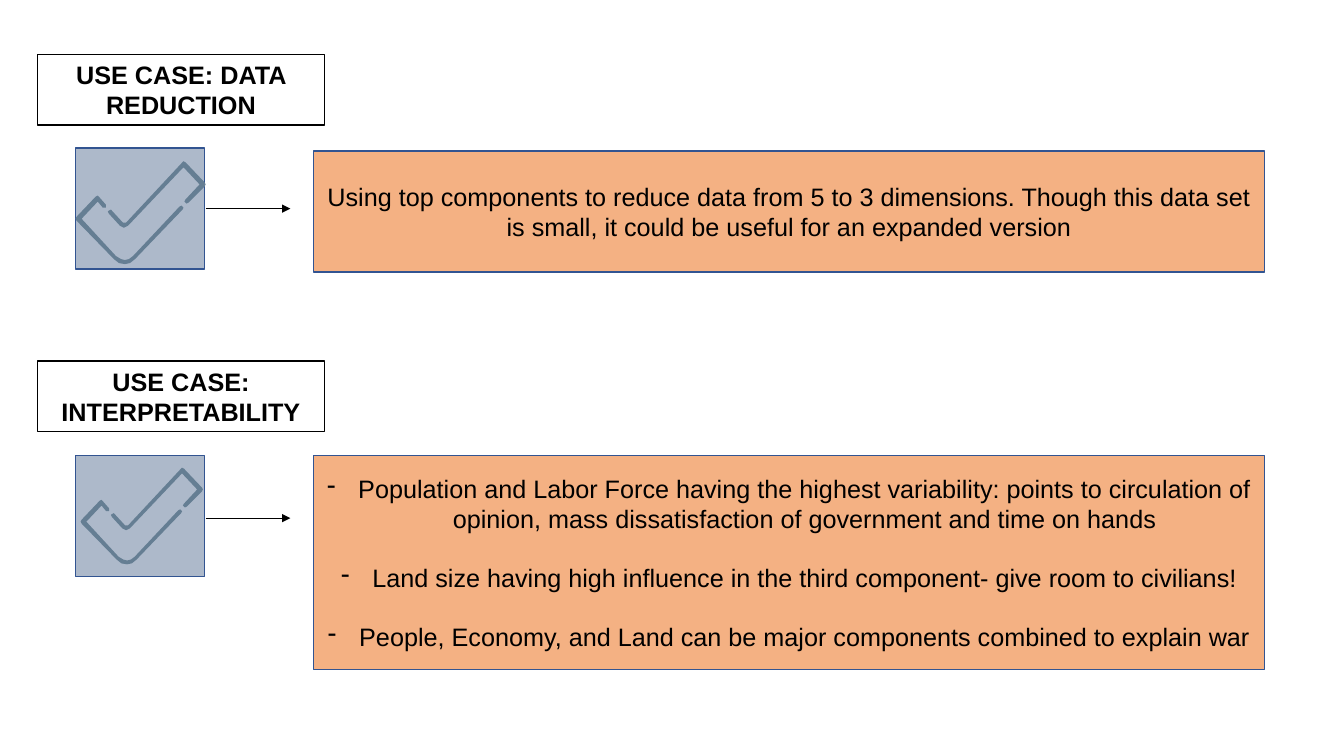
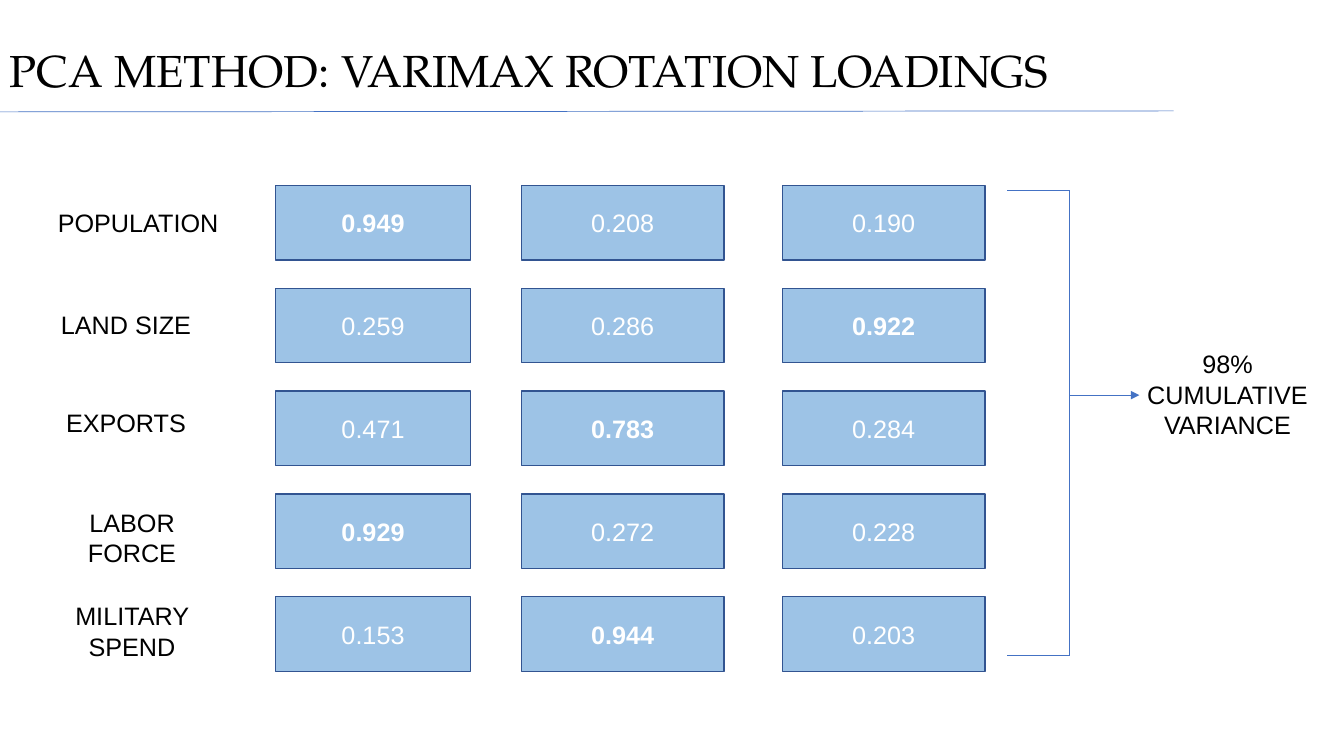
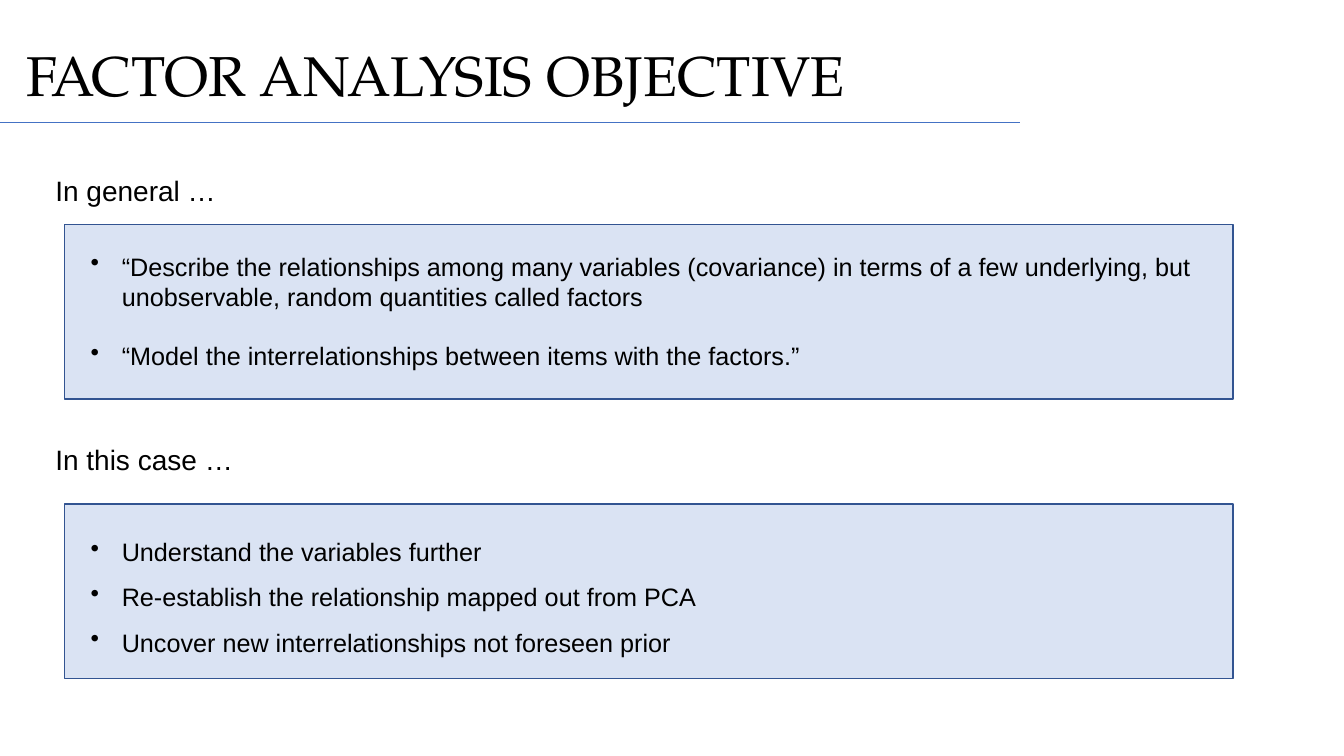
from pptx import Presentation
from pptx.dml.color import RGBColor
from pptx.enum import shapes, text
from pptx.oxml import ns, xmlchemy
from pptx.util import Inches, Pt

BLACK = RGBColor(0x00, 0x00, 0x00)
WHITE = RGBColor(0xFF, 0xFF, 0xFF)
NAVY = RGBColor(0x32, 0x54, 0x91)
BLUE = RGBColor(0x44, 0x72, 0xC4)
SKY = RGBColor(0x9D, 0xC3, 0xE6)
PALE_BLUE = RGBColor(0xDA, 0xE3, 0xF3)
SLATE = RGBColor(0xAD, 0xB9, 0xCA)
STEEL = RGBColor(0x65, 0x7E, 0x93)
ORANGE = RGBColor(0xF4, 0xB1, 0x83)

CENTER = text.PP_ALIGN.CENTER
LEFT = text.PP_ALIGN.LEFT
BODY_SIZE = 18
BLANK_LINE = 20.7
INDENT = Inches(0.31)

# Check mark outlines, in hundredths of an inch
CHECK_LOWER = [
    (22, 34), (20, 35), (1, 55), (0, 57), (1, 59), (38, 97), (43, 101),
    (49, 102), (54, 101), (59, 97), (106, 48), (107, 46), (106, 45),
    (105, 44), (103, 45), (57, 94), (53, 97), (49, 98), (45, 97), (40, 94),
    (6, 57), (22, 40), (27, 46), (29, 46), (30, 46), (30, 43), (23, 35)]
CHECK_UPPER = [
    (107, 0), (106, 1), (50, 61), (49, 61), (47, 61), (36, 49), (35, 48),
    (33, 49), (32, 50), (33, 52), (44, 64), (48, 66), (52, 64), (107, 6),
    (123, 23), (109, 38), (108, 40), (109, 41), (110, 42), (112, 41),
    (128, 25), (129, 23), (128, 21), (109, 1)]


class Deck:
    """Shared style and the slide being filled."""

    def __init__(self):
        self.show = Presentation()
        self.show.slide_width = Inches(13.33)
        self.show.slide_height = Inches(7.5)
        self.page = None

    def new_page(self):
        self.page = self.show.slides.add_slide(self.show.slide_layouts[6])

    def add_lines(self, box, lines, size=BODY_SIZE, color=BLACK, bold=False,
                  align=LEFT, font="Arial", bullet=None, gap=0, spacing=None):
        frame = box.text_frame
        frame.word_wrap = True
        for number, line in enumerate(lines):
            para = frame.add_paragraph() if number else frame.paragraphs[0]
            para.alignment = align
            if bullet:
                props = para._p.get_or_add_pPr()
                props.set("marL", str(INDENT))
                props.set("indent", str(-INDENT))
                mark = xmlchemy.OxmlElement("a:buChar")
                mark.set("char", bullet)
                props.append(mark)
            if number and gap:
                para.space_before = Pt(gap)
            if spacing:
                para.line_spacing = spacing
            span = para.add_run()
            span.text = line
            span.font.name = font
            span.font.size = Pt(size)
            span.font.bold = bold
            span.font.color.rgb = color

    def text(self, left, top, width, height, lines, **style):
        box = self.page.shapes.add_textbox(
            Inches(left), Inches(top), Inches(width), Inches(height))
        self.add_lines(box, lines, **style)

    def box(self, left, top, width, height, fill, lines=(), outline=NAVY, **style):
        box = self.page.shapes.add_shape(
            shapes.MSO_SHAPE.RECTANGLE,
            Inches(left), Inches(top), Inches(width), Inches(height))
        box.shadow.inherit = False
        box.fill.solid()
        box.fill.fore_color.rgb = fill
        box.line.color.rgb = outline
        box.line.width = Pt(1)
        box.text_frame.vertical_anchor = text.MSO_ANCHOR.MIDDLE
        self.add_lines(box, lines, align=CENTER, **style)

    def line(self, x1, y1, x2, y2, color=BLUE, arrow=False):
        line = self.page.shapes.add_connector(
            shapes.MSO_CONNECTOR.STRAIGHT,
            Inches(x1), Inches(y1), Inches(x2), Inches(y2))
        line.line.color.rgb = color
        line.line.width = Pt(0.5)
        props = line._element.spPr
        if arrow:
            head = xmlchemy.OxmlElement("a:tailEnd")
            head.set("type", "triangle")
            props.find(ns.qn("a:ln")).append(head)
        props.append(xmlchemy.OxmlElement("a:effectLst"))

    def title(self, left, top, height, words, size, rule):
        self.text(left, top, 11.9, height, [words], size=size,
                  font="TeX Gyre Pagella")
        self.line(*rule)

    def check_mark(self, left, top, scale):
        for outline in (CHECK_LOWER, CHECK_UPPER):
            builder = self.page.shapes.build_freeform(
                *outline[0], scale=Inches(0.01) * scale)
            builder.add_line_segments(outline[1:], close=True)
            mark = builder.convert_to_shape(Inches(left), Inches(top))
            mark.shadow.inherit = False
            mark.fill.solid()
            mark.fill.fore_color.rgb = STEEL
            mark.line.fill.background()

    def use_case(self, heading, top, tile_top, arrow_y, check, panel, lines, **style):
        self.box(0.37, top, 2.85, 0.7, WHITE, [heading], outline=BLACK,
                 bold=True)
        self.box(0.75, tile_top, 1.28, 1.2, SLATE)
        self.check_mark(*check)
        self.line(2.04, arrow_y, 2.88, arrow_y, BLACK, arrow=True)
        panel_top, panel_height = panel
        self.box(3.11, panel_top, 9.43, panel_height, ORANGE, lines, **style)


def use_cases(deck):
    deck.new_page()
    deck.use_case(
        "USE CASE: DATA REDUCTION", 0.54, 1.47, 2.07, (0.75, 1.6, 1), (1.5, 1.2),
        ["Using top components to reduce data from 5 to 3 dimensions. "
         "Though this data set is small, it could be useful for an expanded version"])
    deck.use_case(
        "USE CASE: INTERPRETABILITY", 3.58, 4.52, 5.14, (0.8, 4.64, 0.94), (4.52, 2.12),
        ["Population and Labor Force having the highest variability: points to "
         "circulation of opinion, mass dissatisfaction of government and time on hands",
         "Land size having high influence in the third component- give room to civilians!",
         "People, Economy, and Land can be major components combined to explain war"],
        bullet="-", gap=BLANK_LINE)


def loadings(deck):
    deck.new_page()
    deck.title(0, 0.37, 0.64, "PCA METHOD: VARIMAX ROTATION LOADINGS", 32,
               (0, 1.11, 11.64, 1.1))

    # Loading grid: label, label position, one value per component
    columns = [(2.73, 1.94), (5.17, 2.01), (7.76, 2.01)]
    rows = [
        ("POPULATION", 0.44, 2.01, ("0.949", "0.208", "0.190")),
        ("LAND SIZE", 0.32, 3.02, ("0.259", "0.286", "0.922")),
        ("EXPORTS", 0.32, 3.99, ("0.471", "0.783", "0.284")),
        ("LABOR FORCE", 0.38, 4.98, ("0.929", "0.272", "0.228")),
        ("MILITARY SPEND", 0.38, 5.91, ("0.153", "0.944", "0.203"))]
    for number, (label, left, top, values) in enumerate(rows):
        deck.text(left, top, 1.86, 0.4, [label], align=CENTER)
        for (column, width), value in zip(columns, values):
            deck.box(column, 1.84 + 1.02 * number, width, 0.74, SKY, [value],
                     color=WHITE, bold=float(value) > 0.5)

    # Bracket to the total
    for y in (1.89, 6.5):
        deck.line(9.99, y, 10.61, y)
    deck.line(10.61, 1.89, 10.61, 6.5)
    deck.line(10.61, 3.92, 11.3, 3.92, arrow=True)
    deck.text(11.16, 3.41, 2.03, 1.01, ["98% CUMULATIVE VARIANCE"], align=CENTER)


def objective(deck):
    deck.new_page()
    deck.title(0.16, 0.35, 0.77, "FACTOR ANALYSIS OBJECTIVE", 40,
               (0, 1.21, 10.12, 1.21))
    sections = [
        ("In general …", 1.67, 2.23, 2.44,
         ["“Describe the relationships among many variables (covariance) in terms "
          "of a few underlying, but unobservable, random quantities called factors",
          "“Model the interrelationships between items with the factors.”"],
         {"gap": BLANK_LINE}),
        ("In this case …", 4.34, 5, 5.12,
         ["Understand the variables further",
          "Re-establish the relationship mapped out from PCA",
          "Uncover new interrelationships not foreseen prior"],
         {"spacing": 1.5})]
    for heading, top, panel_top, list_top, points, style in sections:
        deck.text(0.45, top, 7.09, 0.44, [heading], size=20)
        deck.box(0.64, panel_top, 11.59, 1.73, PALE_BLUE)
        deck.text(0.8, list_top, 11.26, 1.4, points, bullet="•", **style)


def main():
    deck = Deck()
    use_cases(deck)
    loadings(deck)
    objective(deck)
    deck.show.save("out.pptx")


if __name__ == "__main__":
    main()
